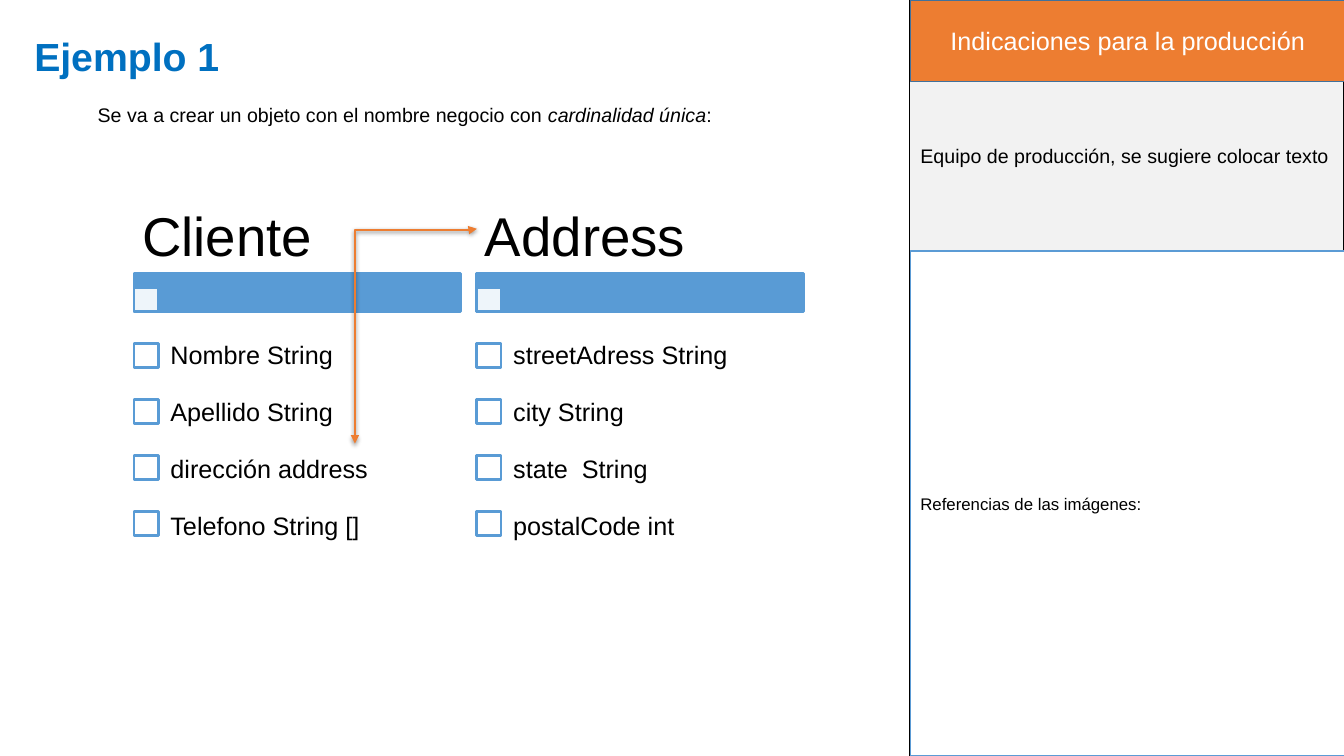
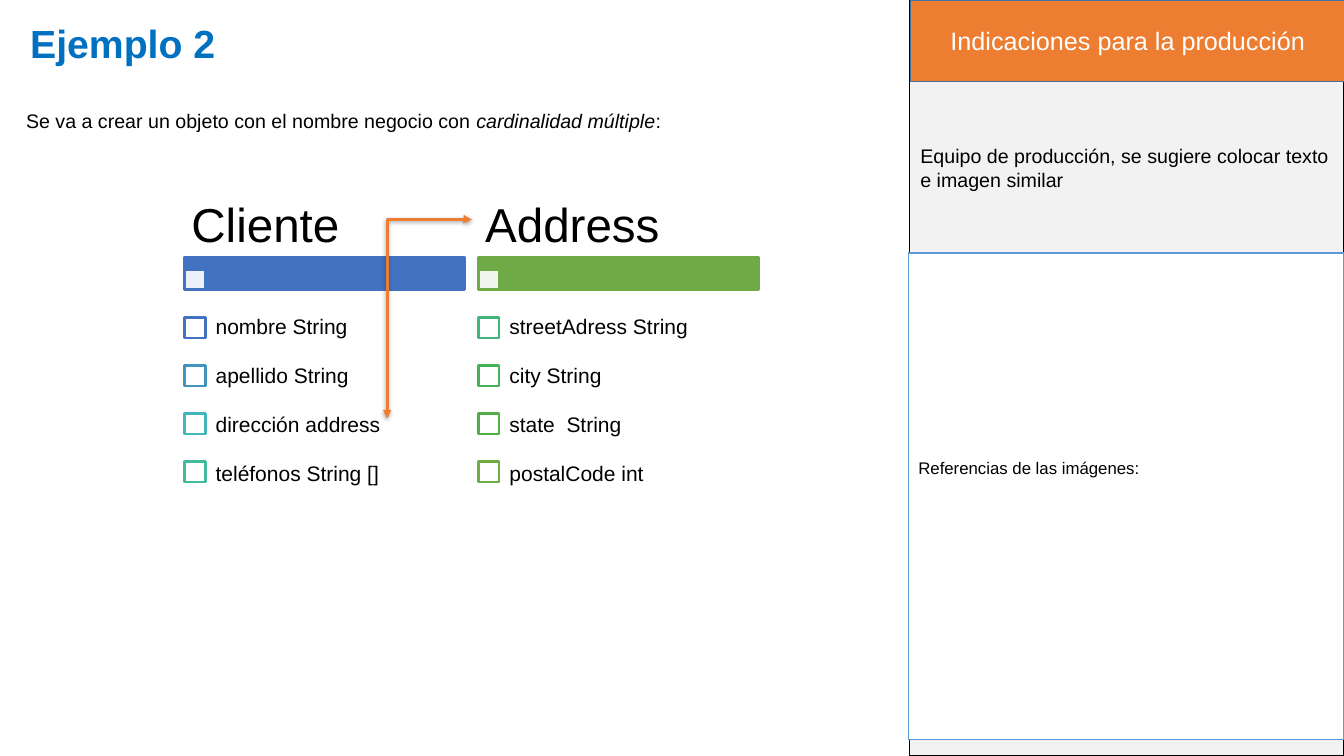
from dataclasses import dataclass
from typing import Any, NamedTuple

from lxml import etree
from pptx import Presentation
from pptx.dml.color import RGBColor
from pptx.enum.shapes import MSO_CONNECTOR, MSO_SHAPE
from pptx.enum.text import MSO_ANCHOR, MSO_AUTO_SIZE, PP_ALIGN
from pptx.oxml import parse_xml
from pptx.oxml.ns import nsdecls, qn
from pptx.util import Emu, Inches, Pt

RECTANGLE = MSO_SHAPE.RECTANGLE
ELBOW = MSO_CONNECTOR.ELBOW
TOP, MIDDLE = MSO_ANCHOR.TOP, MSO_ANCHOR.MIDDLE
LEFT, CENTER = PP_ALIGN.LEFT, PP_ALIGN.CENTER
NO_AUTOFIT = MSO_AUTO_SIZE.NONE
TWO_CONTENT_LAYOUT = 3
LINE_HEIGHT = 1.15  # Arial line height per point of type size
TIGHT = 0.9


@dataclass(frozen=True)
class Theme:
    font: str = "Arial"
    black: str = "000000"
    white: str = "FFFFFF"
    title: str = "0070C0"
    panel: str = "F2F2F2"
    orange: str = "ED7D31"
    header_line: str = "42719B"
    reference_line: str = "5B9BD5"
    title_size: int = 28
    header_size: int = 18
    text_size: int = 14
    reference_size: int = 12


THEME = Theme()


class Area(NamedTuple):
    left: float
    top: float
    width: float
    height: float

    def lengths(self) -> tuple[Emu, ...]:
        return tuple(Inches(value) for value in self)


class Span(NamedTuple):
    text: str
    italic: bool = False


class Style(NamedTuple):
    size: float
    color: str = THEME.black
    bold: bool = False
    align: PP_ALIGN = LEFT
    spacing: float = 1.0
    after: float = 0


class Frame(NamedTuple):
    anchor: MSO_ANCHOR = TOP
    side: float = 0.1
    top: float = 0.05
    bottom: float = 0.05


@dataclass(frozen=True)
class Column:
    heading: str
    items: tuple[str, ...]
    accent: str
    box_colors: tuple[str, ...]


@dataclass(frozen=True)
class Diagram:
    """Two checklist columns; scale 1 is the full-size grid."""
    left: float
    bar_top: float
    scale: float
    heading_size: int
    item_size: int
    columns: tuple[Column, ...]


@dataclass(frozen=True)
class Arrow:
    """Elbow from an item up and across to a heading; bend is a share of its height."""
    start: tuple[float, float]
    end: tuple[float, float]
    bend: float


@dataclass(frozen=True)
class Page:
    title: str
    title_area: Area
    intro_area: Area
    cardinality: str
    note: str
    reference_area: Area
    reference_frame: Frame
    diagram: Diagram
    arrow: Arrow


BLUE = "599BD5"
ADDRESS_ITEMS = ("streetAdress String", "city String", "state  String", "postalCode int")

PAGES = (
    Page(
        "Ejemplo 1", Area(0.24, 0.2, 2.51, 0.6), Area(0.87, 0.97, 7.89, 0.34),
        "cardinalidad única", "Equipo de producción, se sugiere colocar texto",
        Area(9.03, 2.49, 4.32, 5.01), Frame(MIDDLE),
        Diagram(1.33, 2.71, 1, 39, 18, (
            Column("Cliente",
                   ("Nombre String", "Apellido String", "dirección address",
                    "Telefono String []"), BLUE, (BLUE,) * 4),
            Column("Address", ADDRESS_ITEMS, BLUE, (BLUE,) * 4),
        )),
        Arrow((3.52, 4.4), (4.73, 2.27), 0.995),
    ),
    Page(
        "Ejemplo 2", Area(0.2, 0.07, 2.14, 0.6), Area(0.16, 1.03, 8.83, 0.34),
        "cardinalidad múltiple",
        "Equipo de producción, se sugiere colocar texto e imagen similar",
        Area(9.01, 2.51, 4.32, 4.83), Frame(MIDDLE, bottom=0.62),
        Diagram(1.83, 2.55, 0.857, 34, 15, (
            Column("Cliente",
                   ("nombre String", "apellido String", "dirección address",
                    "teléfonos String []"), "4372C3",
                   ("4372C3", "4294C0", "42B6BD", "43B99E")),
            Column("Address", ADDRESS_ITEMS, "6FAA47",
                   ("44B57A", "45B158", "51AE46", "6FAA47")),
        )),
        Arrow((3.84, 4.15), (4.68, 2.18), 1.003),
    ),
)


def apply(target: Any, values: dict[str, Any]) -> None:
    for name, value in values.items():
        setattr(target, name, value)


def write(shape: Any, paragraphs: list[list[Span]], style: Style, frame: Frame) -> None:
    text_frame = shape.text_frame
    apply(text_frame, {
        "word_wrap": True, "auto_size": NO_AUTOFIT, "vertical_anchor": frame.anchor,
        "margin_left": Inches(frame.side), "margin_right": Inches(frame.side),
        "margin_top": Inches(frame.top), "margin_bottom": Inches(frame.bottom),
    })
    for index, spans in enumerate(paragraphs):
        para = text_frame.add_paragraph() if index else text_frame.paragraphs[0]
        apply(para, {"alignment": style.align, "line_spacing": style.spacing,
                     "space_before": Pt(0), "space_after": Pt(style.after)})
        for span in spans:
            run = para.add_run()
            run.text = span.text
            apply(run.font, {"name": THEME.font, "size": Pt(style.size),
                             "bold": style.bold, "italic": span.italic})
            run.font.color.rgb = RGBColor.from_string(style.color)


def place(placeholder: Any, area: Area) -> None:
    apply(placeholder, dict(zip(Area._fields, area.lengths())))


def remove_bullets(placeholder: Any) -> None:
    for para in placeholder.text_frame.paragraphs:
        properties = para._p.get_or_add_pPr()
        properties.set("marL", "0")
        properties.set("indent", "0")
        etree.SubElement(properties, qn("a:buNone"))


def add_text(slide: Any, area: Area, spans: list[Span], style: Style,
             frame: Frame = Frame()) -> None:
    write(slide.shapes.add_textbox(*area.lengths()), [spans], style, frame)


def add_box(slide: Any, area: Area, fill: str, line: str, width: float = 1,
            opacity: int = 100) -> Any:
    box = slide.shapes.add_shape(RECTANGLE, *area.lengths())
    box.shadow.inherit = False
    box.fill.solid()
    box.fill.fore_color.rgb = RGBColor.from_string(fill)
    box.line.color.rgb = RGBColor.from_string(line)
    box.line.width = Pt(width)
    if opacity < 100:
        color = box._element.spPr.find(qn("a:solidFill")).find(qn("a:srgbClr"))
        etree.SubElement(color, qn("a:alpha"), val=str(opacity * 1000))
    return box


def add_production_panel(slide: Any, page: Page) -> None:
    add_box(slide, Area(9.02, 0, 4.31, 7.5), THEME.panel, THEME.black)
    add_text(slide, Area(9.03, 1.38, 4.33, 3.3), [Span(page.note)], Style(THEME.text_size))
    header = add_box(slide, Area(9.03, 0, 4.31, 0.81), THEME.orange, THEME.header_line)
    write(header, [[Span("Indicaciones para la producción")]],
          Style(THEME.header_size, THEME.white, align=CENTER), Frame(MIDDLE))
    references = add_box(slide, page.reference_area, THEME.white, THEME.reference_line)
    write(references, [[Span("Referencias de las imágenes:")]],
          Style(THEME.reference_size), page.reference_frame)


def add_column(slide: Any, diagram: Diagram, column: Column, left: float,
               item_list: Any) -> None:
    scale, top = diagram.scale, diagram.bar_top
    width, bar, box = 3.24 * scale, 0.38 * scale, 0.24 * scale
    heading, row, indent = 0.69 * scale, 0.556 * scale, 0.22 * scale
    first_row = top + 0.54 * scale

    add_box(slide, Area(left, top, width, bar), column.accent, column.accent, 2)
    add_box(slide, Area(left, top + bar - box, box, box), THEME.white, column.accent, 2, 90)
    add_text(slide, Area(left, top - heading, width, heading), [Span(column.heading)],
             Style(diagram.heading_size, spacing=TIGHT), Frame(MIDDLE, 0.08 * scale))

    for index, color in enumerate(column.box_colors):
        box_top = first_row + index * row + (row - box) / 2
        add_box(slide, Area(left, box_top, box, box), THEME.white, color, 2)

    gap = row * 72 - diagram.item_size * LINE_HEIGHT * TIGHT
    place(item_list, Area(left + indent, first_row, width - indent, row * len(column.items)))
    write(item_list, [[Span(item)] for item in column.items],
          Style(diagram.item_size, spacing=TIGHT, after=gap),
          Frame(TOP, 0.14 * scale, gap / 2 / 72, 0))
    remove_bullets(item_list)


def add_arrow(slide: Any, arrow: Arrow) -> None:
    """Draw the elbow lying down, then turn it so that it leaves upwards."""
    (start_x, start_y), (end_x, end_y) = arrow.start, arrow.end
    center_x, center_y = (start_x + end_x) / 2, (start_y + end_y) / 2
    half_rise, half_run = (start_y - end_y) / 2, (end_x - start_x) / 2
    corners = (center_x - half_rise, center_y - half_run,
               center_x + half_rise, center_y + half_run)
    connector = slide.shapes.add_connector(ELBOW, *(Inches(value) for value in corners))
    connector.line.color.rgb = RGBColor.from_string(THEME.orange)
    connector.line.width = Pt(2)

    properties = connector._element.spPr
    properties.find(qn("a:xfrm")).set("rot", str(270 * 60000))
    geometry = properties.find(qn("a:prstGeom"))
    guides = geometry.find(qn("a:avLst"))
    if guides is None:
        guides = etree.SubElement(geometry, qn("a:avLst"))
    etree.SubElement(guides, qn("a:gd"), name="adj1", fmla=f"val {round(arrow.bend * 100000)}")
    line = properties.find(qn("a:ln"))
    for end in ("a:headEnd", "a:tailEnd"):
        etree.SubElement(line, qn(end), type="triangle")
    properties.append(parse_xml(
        f'<a:effectLst {nsdecls("a")}>'
        '<a:outerShdw blurRad="40000" dist="20000" dir="5400000" rotWithShape="0">'
        f'<a:srgbClr val="{THEME.black}"><a:alpha val="38000"/></a:srgbClr>'
        '</a:outerShdw></a:effectLst>'))


def add_page(deck: Any, page: Page) -> None:
    slide = deck.slides.add_slide(deck.slide_layouts[TWO_CONTENT_LAYOUT])
    title, *item_lists = slide.placeholders
    place(title, page.title_area)
    write(title, [[Span(page.title)]],
          Style(THEME.title_size, THEME.title, bold=True, spacing=1.15), Frame())
    add_production_panel(slide, page)
    add_text(slide, page.intro_area,
             [Span("Se va a crear un objeto con el nombre negocio con "),
              Span(page.cardinality, italic=True), Span(":")], Style(THEME.text_size))
    diagram = page.diagram
    for index, (column, item_list) in enumerate(zip(diagram.columns, item_lists)):
        add_column(slide, diagram, column, diagram.left + index * 3.4 * diagram.scale, item_list)
    add_arrow(slide, page.arrow)


def main() -> None:
    deck = Presentation()
    deck.slide_width, deck.slide_height = Inches(13.33), Inches(7.5)
    for page in PAGES:
        add_page(deck, page)
    deck.save("out.pptx")


if __name__ == "__main__":
    main()
